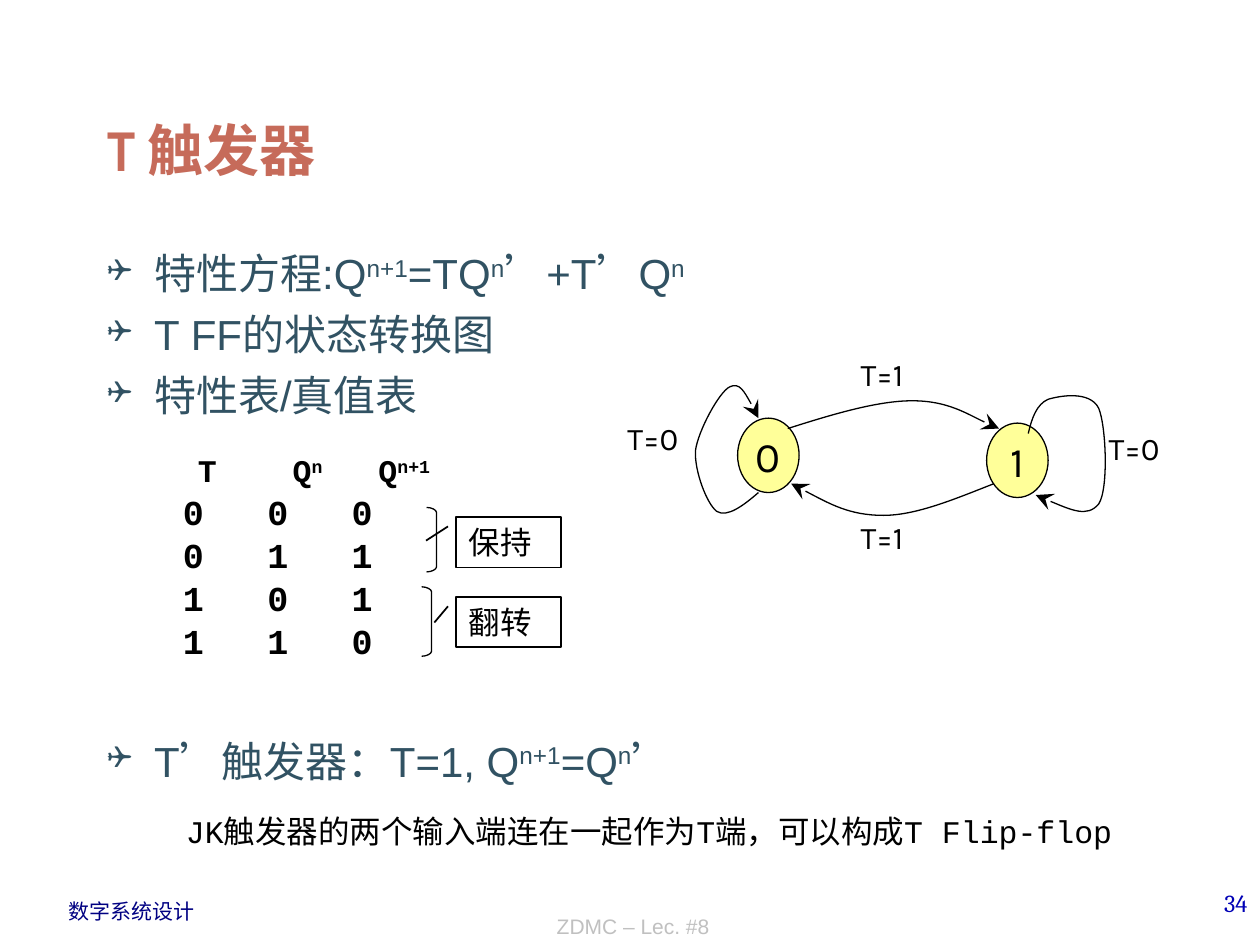
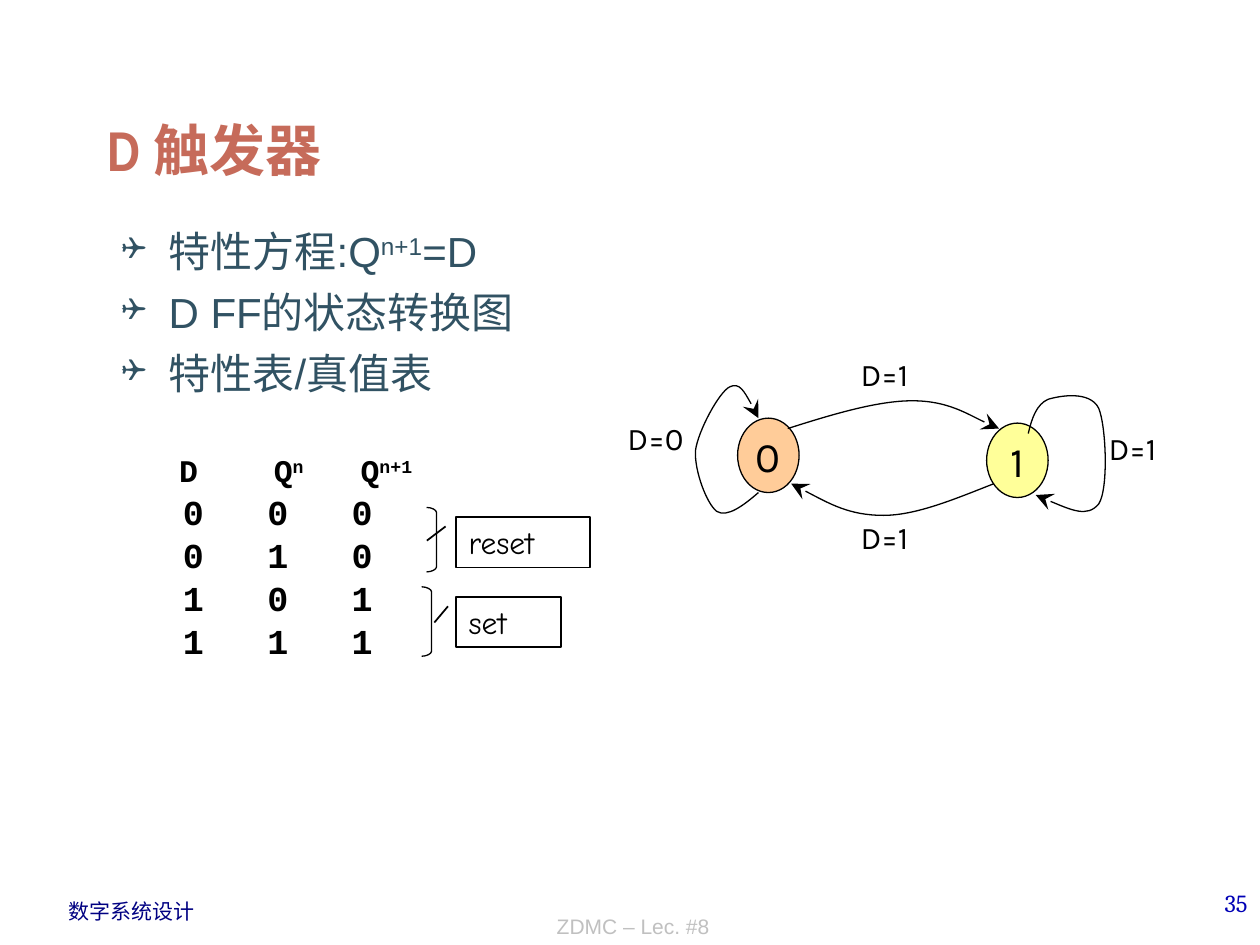
from dataclasses import dataclass
from itertools import groupby
from typing import Optional

from lxml import etree
from pptx import Presentation
from pptx.dml.color import RGBColor
from pptx.enum.shapes import MSO_SHAPE
from pptx.enum.text import MSO_ANCHOR, PP_ALIGN
from pptx.oxml.ns import qn
from pptx.util import Cm, Pt

OVAL = MSO_SHAPE.OVAL
CALLOUT = MSO_SHAPE.LINE_CALLOUT_1
LEFT, CENTER, RIGHT = PP_ALIGN.LEFT, PP_ALIGN.CENTER, PP_ALIGN.RIGHT
TOP, MIDDLE, BOTTOM = MSO_ANCHOR.TOP, MSO_ANCHOR.MIDDLE, MSO_ANCHOR.BOTTOM

BLACK = "000000"
BODY_COLOR = "315263"
YELLOW = "FFFF99"
ORANGE = "FFCC99"
QUOTE = "’"
QUOTE_FONT = "Karla"
WIDE_QUOTE_FONT = "宋体"
ROW_TABS = (0.84, 2.54, 4.24)


@dataclass(frozen=True)
class Style:
    font: str
    size: float
    color: str = BLACK
    bold: bool = False
    align: PP_ALIGN = LEFT
    anchor: MSO_ANCHOR = TOP


@dataclass(frozen=True)
class Area:
    left: float
    top: float
    width: float
    height: float

    def lengths(self) -> list:
        return [Cm(value) for value in (self.left, self.top, self.width, self.height)]


@dataclass(frozen=True)
class Bullet:
    text: str
    space_before: float = 6


@dataclass(frozen=True)
class Outcome:
    text: str
    width: float
    leader: tuple


@dataclass(frozen=True)
class FlipFlop:
    name: str
    number: str
    body: Area
    bullets: tuple
    zero_color: str
    conditions: tuple
    header_tabs: tuple
    rows: tuple
    outcomes: tuple
    remark: Optional[str] = None


TITLE = Style("Arial Narrow", 32, "C66B5A", True, anchor=BOTTOM)
BODY = Style("Arial", 24, BODY_COLOR)
STATE = Style("Karla", 24, align=CENTER, anchor=MIDDLE)
CONDITION = Style("Karla", 18)
TABLE_HEADER = Style("Courier New", 18, bold=True)
TABLE_ROW = Style("Courier New", 20, bold=True)
OUTCOME = Style("Comic Neue", 18)
REMARK = Style("Courier New", 18, anchor=MIDDLE)
COURSE = Style("Arial", 12, "000082")
LECTURE = Style("Arial", 12, "C0C0C0", align=CENTER, anchor=BOTTOM)
NUMBER = Style("Cambria", 14, "0000B6", align=RIGHT)

STATE_AREAS = (Area(14.87, 8.43, 1.24, 1.5), Area(19.89, 8.53, 1.24, 1.5))
TRANSITIONS = (
    ((15.88, 8.64), (16.76, 8.36), (17.68, 8.08), (18.39, 8.08),
     (19.1, 8.08), (19.84, 8.53), (20.14, 8.64)),
    ((20.04, 9.75), (19.25, 10.06), (18.47, 10.39), (17.81, 10.39),
     (17.12, 10.39), (16.54, 10.06), (15.95, 9.75)),
    ((15.29, 9.93), (14.99, 10.19), (14.66, 10.44), (14.45, 10.31),
     (14.25, 10.16), (14, 9.5), (14.02, 9.09),
     (14.07, 8.69), (14.5, 7.9), (14.71, 7.8),
     (14.91, 7.7), (15.11, 8.05), (15.29, 8.43)),
    ((20.73, 8.74), (20.8, 8.43), (20.9, 8.15), (21.13, 8.05),
     (21.36, 7.98), (21.97, 7.87), (22.15, 8.23),
     (22.3, 8.59), (22.35, 9.86), (22.15, 10.16),
     (21.92, 10.44), (21.41, 10.21), (20.88, 9.98)),
)
CONDITION_PLACES = ((17.1, 7.03), (17.1, 10.31), (22.1, 8.52), (12.4, 8.32))
BRACKET_AREAS = (Area(8.6, 10.23, 0.2, 1.3), Area(8.5, 11.83, 0.2, 1.4))
OUTCOME_TOPS = (10.42, 12.03)

FLIP_FLOPS = (
    FlipFlop(
        "T", "34", Area(1.91, 4.87, 21.59, 11.43),
        (Bullet("特性方程:Q^n+1^=TQ^n^’+T’Q^n", 0), Bullet("T FF的状态转换图"),
         Bullet("特性表/真值表"), Bullet("T’触发器：T=1, Q^n+1^=Q^n^’", 180)),
        YELLOW, ("T=1", "T=1", "T=0", "T=0"), (1.14, 3.05, 4.78),
        ("000", "011", "101", "110"),
        (Outcome("保持", 2.11, (0.19, -0.08, 0.47, -0.29)),
         Outcome("翻转", 2.11, (0.19, -0.08, 0.51, -0.21))),
        "JK触发器的两个输入端连在一起作为T端，可以构成T Flip-flop",
    ),
    FlipFlop(
        "D", "35", Area(2.2, 4.42, 21.59, 11.43),
        (Bullet("特性方程:Q^n+1^=D", 0), Bullet("D FF的状态转换图"),
         Bullet("特性表/真值表")),
        ORANGE, ("D=1", "D=1", "D=1", "D=0"), (0.76, 2.67, 4.42),
        ("000", "010", "101", "111"),
        (Outcome("reset", 2.7, (0.19, -0.08, 0.47, -0.22)),
         Outcome("set", 2.11, (0.19, -0.08, 0.51, -0.21))),
    ),
)


def rgb(color: str) -> RGBColor:
    return RGBColor.from_string(color)


def add_span(para, text: str, style: Style, raised: bool) -> None:
    quoted = QUOTE in text
    span = para.add_run()
    span.text = text
    font = span.font
    font.name = QUOTE_FONT if quoted else style.font
    font.size = Pt(style.size)
    font.bold = style.bold
    font.color.rgb = rgb(style.color)
    properties = font._element
    etree.SubElement(properties, qn("a:ea"),
                     typeface=WIDE_QUOTE_FONT if quoted else style.font)
    if quoted:
        properties.set("lang", "zh-CN")
    if raised:
        properties.set("baseline", "30000")


def write(para, text: str, style: Style) -> None:
    para.alignment = style.align
    for index, piece in enumerate(text.split("^")):
        for _, letters in groupby(piece, lambda letter: letter == QUOTE):
            add_span(para, "".join(letters), style, index % 2 == 1)


def prepare_frame(shape, style: Style, wrap: bool = True):
    frame = shape.text_frame
    frame.word_wrap = wrap
    frame.vertical_anchor = style.anchor
    frame.margin_left = frame.margin_right = Cm(0.25)
    frame.margin_top = frame.margin_bottom = Cm(0.13)
    return frame


def next_paragraph(frame, index: int):
    return frame.add_paragraph() if index else frame.paragraphs[0]


def add_text(page, area: Area, text: str, style: Style, wrap: bool = True) -> None:
    box = page.shapes.add_textbox(*area.lengths())
    write(prepare_frame(box, style, wrap).paragraphs[0], text, style)


def add_bullet_mark(para) -> None:
    properties = para._p.get_or_add_pPr()
    properties.set("marL", str(Cm(0.95)))
    properties.set("indent", str(-Cm(0.95)))
    color = etree.SubElement(properties, qn("a:buClr"))
    etree.SubElement(color, qn("a:srgbClr"), val=BODY_COLOR)
    etree.SubElement(properties, qn("a:buSzPct"), val="75000")
    etree.SubElement(properties, qn("a:buFont"), typeface="Wingdings", charset="2")
    etree.SubElement(properties, qn("a:buChar"), char="❑")


def add_bullets(page, area: Area, bullets: tuple) -> None:
    frame = prepare_frame(page.shapes.add_textbox(*area.lengths()), BODY)
    for index, bullet in enumerate(bullets):
        para = next_paragraph(frame, index)
        add_bullet_mark(para)
        para.space_before = Pt(bullet.space_before)
        write(para, bullet.text, BODY)


def outline(shape, width: float, fill: Optional[str] = None) -> None:
    shape.shadow.inherit = False
    shape.line.color.rgb = rgb(BLACK)
    shape.line.width = Pt(width)
    if fill:
        shape.fill.solid()
        shape.fill.fore_color.rgb = rgb(fill)
    else:
        shape.fill.background()


def add_curve(page, points: tuple, pieces: str):
    lengths = [(Cm(x), Cm(y)) for x, y in points]
    builder = page.shapes.build_freeform(*lengths[0])
    builder.add_line_segments(lengths[1:], close=False)
    curve = builder.convert_to_shape()
    steps = iter(list(curve._element.iter(qn("a:lnTo"))))
    for piece in pieces:
        step = next(steps)
        if piece == "C":
            step.tag = qn("a:cubicBezTo")
            for _ in range(2):
                extra = next(steps)
                step.append(extra[0])
                extra.getparent().remove(extra)
    outline(curve, 0.75)
    return curve


def add_transition(page, points: tuple) -> None:
    arrow = add_curve(page, points, "C" * (len(points) // 3))
    etree.SubElement(arrow.line._get_or_add_ln(), qn("a:tailEnd"),
                     type="stealth", w="lg", len="lg")


def add_bracket(page, area: Area) -> None:
    left, right = area.left, area.left + area.width
    top, bottom = area.top, area.top + area.height
    middle = left + area.width / 2
    points = ((left, top), (middle, top), (right, top + 0.05), (right, top + 0.1),
              (right, bottom - 0.1),
              (right, bottom - 0.05), (middle, bottom), (left, bottom))
    add_curve(page, points, "CLC")


def add_state_diagram(page, flip_flop: FlipFlop) -> None:
    for area, text, fill in zip(STATE_AREAS, "01", (flip_flop.zero_color, YELLOW)):
        state = page.shapes.add_shape(OVAL, *area.lengths())
        outline(state, 0.75, fill)
        write(prepare_frame(state, STATE, False).paragraphs[0], text, STATE)
    for points in TRANSITIONS:
        add_transition(page, points)
    for place, text in zip(CONDITION_PLACES, flip_flop.conditions):
        add_text(page, Area(*place, 2.1, 1.02), text, CONDITION)


def add_truth_table(page, flip_flop: FlipFlop) -> None:
    box = page.shapes.add_textbox(*Area(2.8, 8.91, 8.81, 5.11).lengths())
    frame = prepare_frame(box, TABLE_ROW)
    frame.margin_left = frame.margin_right = Cm(0.05)
    frame.margin_top = frame.margin_bottom = Cm(0.08)
    header = (flip_flop.name, "Q^n^", "Q^n+1^")
    for index, cells in enumerate((header, *flip_flop.rows)):
        para = next_paragraph(frame, index)
        stops = etree.SubElement(para._p.get_or_add_pPr(), qn("a:tabLst"))
        for position in ROW_TABS if index else flip_flop.header_tabs:
            etree.SubElement(stops, qn("a:tab"), pos=str(Cm(position)), algn="l")
        para.line_spacing = Pt(24.6)
        write(para, "".join(f"\t{cell}" for cell in cells),
              TABLE_ROW if index else TABLE_HEADER)


def add_outcomes(page, outcomes: tuple) -> None:
    for area, top, outcome in zip(BRACKET_AREAS, OUTCOME_TOPS, outcomes):
        add_bracket(page, area)
        callout = page.shapes.add_shape(
            CALLOUT, *Area(9.2, top, outcome.width, 1.02).lengths())
        for index, value in enumerate(outcome.leader):
            callout.adjustments[index] = value
        outline(callout, 1)
        write(prepare_frame(callout, OUTCOME).paragraphs[0], outcome.text, OUTCOME)


def add_footers(page, number: str) -> None:
    add_text(page, Area(1.13, 17.98, 3.05, 0.76), "数字系统设计", COURSE, False)
    add_text(page, Area(20.12, 17.78, 5.28, 1.27), number, NUMBER)
    add_text(page, Area(6.58, 17.75, 12.37, 1.3), "ZDMC – Lec. #8", LECTURE)


def add_flip_flop_page(deck, flip_flop: FlipFlop) -> None:
    page = deck.slides.add_slide(deck.slide_layouts[6])
    add_footers(page, flip_flop.number)
    add_text(page, Area(1.91, 0.64, 21.59, 3.18), f"{flip_flop.name} 触发器", TITLE)
    add_bullets(page, flip_flop.body, flip_flop.bullets)
    add_state_diagram(page, flip_flop)
    add_truth_table(page, flip_flop)
    add_outcomes(page, flip_flop.outcomes)
    if flip_flop.remark:
        add_text(page, Area(3.5, 16.23, 19.79, 1.02), flip_flop.remark, REMARK)


def main() -> None:
    deck = Presentation()
    deck.slide_width, deck.slide_height = Cm(25.4), Cm(19.05)
    for flip_flop in FLIP_FLOPS:
        add_flip_flop_page(deck, flip_flop)
    deck.save("out.pptx")


if __name__ == "__main__":
    main()
